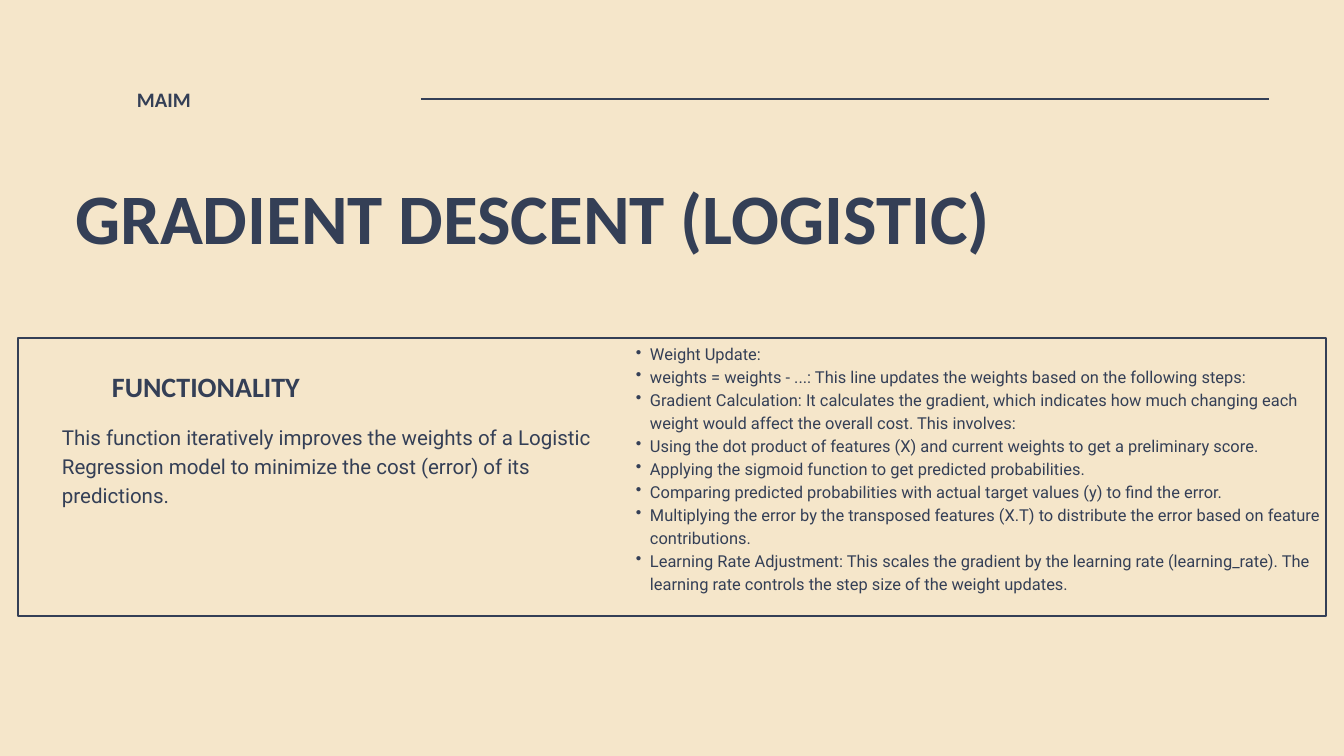
from lxml import etree
from pptx import Presentation
from pptx.dml.color import RGBColor
from pptx.enum.shapes import MSO_CONNECTOR, MSO_SHAPE
from pptx.enum.text import MSO_ANCHOR, MSO_AUTO_SIZE, PP_ALIGN
from pptx.oxml.ns import qn
from pptx.util import Pt

LEFT, TOP = PP_ALIGN.LEFT, MSO_ANCHOR.TOP
NO_FIT = MSO_AUTO_SIZE.NONE
RECT, LINE = MSO_SHAPE.RECTANGLE, MSO_CONNECTOR.STRAIGHT

# Content
TITLE = "GRADIENT DESCENT (LOGISTIC)"
TAG = "MAIM"
HEAD = "FUNCTIONALITY"
BODY = ("This function iteratively improves the weights of a Logistic Regression "
        "model to minimize the cost (error) of its predictions.")
STEPS = [
    "Weight Update:",
    "weights = weights - ...: This line updates the weights based on the following steps:",
    "Gradient Calculation: It calculates the gradient, which indicates how much "
    "changing each weight would affect the overall cost. This involves:",
    "Using the dot product of features (X) and current weights to get a preliminary score.",
    "Applying the sigmoid function to get predicted probabilities.",
    "Comparing predicted probabilities with actual target values (y) to find the error.",
    "Multiplying the error by the transposed features (X.T) to distribute the error "
    "based on feature contributions.",
    "Learning Rate Adjustment: This scales the gradient by the learning rate "
    "(learning_rate). The learning rate controls the step size of the weight updates.",
]

# Style
COLORS = {"back": "F5E6CA", "ink": "343F56"}
SANS, TEXT = "Calibri", "Roboto"
RULE = 3
INDENT = 14


def px(n):
    return round(n * 914400 / 67.2)


def color(name):
    return RGBColor.from_string(COLORS[name])


def ink(line):
    line.color.rgb = color("ink")
    line.width = Pt(RULE)


def bullet(para):
    props = para._p.get_or_add_pPr()
    props.set("marL", str(px(2 * INDENT)))
    props.set("indent", str(px(-INDENT)))
    etree.SubElement(props, qn("a:buChar"), char="•")


def write(shape, box, lines, font, size, lead, bold=False, dots=False):
    shape.left, shape.top, shape.width, shape.height = map(px, box)
    frame = shape.text_frame
    frame.margin_left = frame.margin_right = 0
    frame.margin_top = frame.margin_bottom = 0
    frame.word_wrap = True
    frame.auto_size = NO_FIT
    frame.vertical_anchor = TOP
    frame.text = "\n".join(lines)
    for para in frame.paragraphs:
        para.alignment = LEFT
        para.line_spacing = Pt(lead)
        para.space_before = Pt(0)
        if dots:
            bullet(para)
        para.font.name = font
        para.font.size = Pt(size)
        para.font.bold = bold
        para.font.color.rgb = color("ink")


def label(slide, *args, **style):
    write(slide.shapes.add_textbox(0, 0, 0, 0), *args, **style)


def main():
    deck = Presentation()
    deck.slide_width, deck.slide_height = px(1344), px(756)
    slide = deck.slides.add_slide(deck.slide_layouts[5])
    slide.background.fill.solid()
    slide.background.fill.fore_color.rgb = color("back")

    # Title and header
    write(slide.shapes.title, (75, 188, 1250, 77), [TITLE], SANS, 76, 76, bold=True)
    label(slide, (137, 83, 263, 28), [TAG], SANS, 22, 30.8, bold=True)
    rule = slide.shapes.add_connector(LINE, px(421), px(99), px(1269), px(99))
    ink(rule.line)
    etree.SubElement(rule._element.spPr, qn("a:effectLst"))

    # Framed panel
    panel = slide.shapes.add_shape(RECT, px(18), px(338), px(1308), px(278))
    panel.shadow.inherit = False
    panel.fill.background()
    ink(panel.line)

    # Summary on the left, steps on the right
    label(slide, (112, 364, 364, 40), [HEAD], SANS, 30, 42, bold=True)
    label(slide, (62, 421, 551, 85), [BODY], TEXT, 22, 30.8)
    label(slide, (622, 341, 722, 275), STEPS, TEXT, 17.6, 24.6, dots=True)

    deck.save("out.pptx")


if __name__ == "__main__":
    main()
